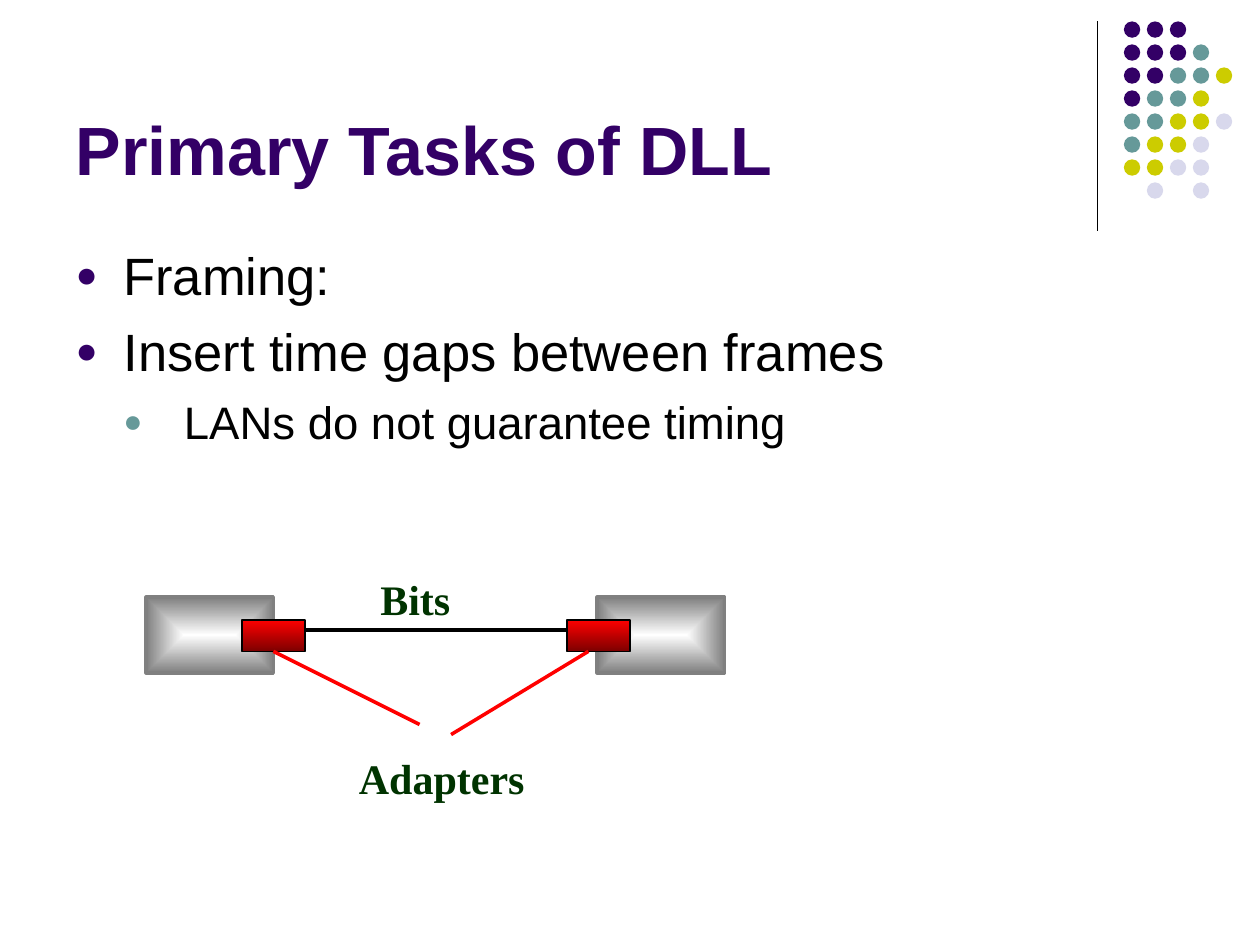
import pptx
import pptx.dml.color
import pptx.enum.shapes
import pptx.enum.text
import pptx.oxml
import pptx.oxml.ns
import pptx.util
import lxml.etree

Inches = pptx.util.Inches
Pt = pptx.util.Pt


def color(hex_string):
    return pptx.dml.color.RGBColor.from_string(hex_string)


class SlideBuilder:
    heading_font = "Arial"
    label_font = "Times New Roman"
    purple = "330066"
    teal = "669999"
    olive = "CCCC00"
    lavender = "D8D8EC"
    black = "000000"
    gray = "808080"
    red = "FF0000"
    label_green = "003300"

    def __init__(self, slide):
        self.slide = slide

    def place(self, shape, left, top, width, height):
        shape.left, shape.top = Inches(left), Inches(top)
        shape.width, shape.height = Inches(width), Inches(height)

    def run(self, paragraph, text, font, size, hex_string, bold=False):
        run = paragraph.add_run()
        run.text = text
        run.font.name, run.font.size, run.font.bold = font, Pt(size), bold
        run.font.color.rgb = color(hex_string)

    def title(self, text, *box):
        shape = self.slide.shapes.title
        self.place(shape, *box)
        frame = shape.text_frame
        frame.auto_size = pptx.enum.text.MSO_AUTO_SIZE.NONE
        frame.vertical_anchor = pptx.enum.text.MSO_ANCHOR.BOTTOM
        paragraph = frame.paragraphs[0]
        paragraph.alignment = pptx.enum.text.PP_ALIGN.LEFT
        self.run(paragraph, text, self.heading_font, 39, self.purple, True)

    def bullets(self, items, *box):
        shape = self.slide.placeholders[1]
        self.place(shape, *box)
        frame = shape.text_frame
        frame.auto_size = pptx.enum.text.MSO_AUTO_SIZE.NONE
        # Per level: text size, space before, bullet color, margin, hanging indent
        levels = [(30, 7.5, self.purple, 0.38, 0.38),
                  (26, 6.5, self.teal, 0.86, 0.48)]
        for index, (level, text) in enumerate(items):
            size, space, bullet_color, margin, hanging = levels[level]
            paragraph = frame.add_paragraph() if index else frame.paragraphs[0]
            paragraph.level = level
            self.bullet(paragraph, bullet_color, margin, hanging)
            paragraph.space_before = Pt(space if index else 0)
            self.run(paragraph, text, self.heading_font, size, self.black)

    def bullet(self, paragraph, hex_string, margin, hanging):
        properties = paragraph._p.get_or_add_pPr()
        properties.set("marL", str(Inches(margin)))
        properties.set("indent", str(-Inches(hanging)))
        qn = pptx.oxml.ns.qn
        bullet_color = lxml.etree.SubElement(properties, qn("a:buClr"))
        lxml.etree.SubElement(bullet_color, qn("a:srgbClr"), val=hex_string)
        lxml.etree.SubElement(properties, qn("a:buSzPct"), val="70000")
        lxml.etree.SubElement(properties, qn("a:buFont"), typeface=self.heading_font)
        lxml.etree.SubElement(properties, qn("a:buChar"), char="●")

    def gradient_box(self, box, stops, line_color, line_width, from_center=False):
        shape = self.slide.shapes.add_shape(
            pptx.enum.shapes.MSO_SHAPE.RECTANGLE, *map(Inches, box))
        shape.shadow.inherit = False
        shape.fill.gradient()
        shape.fill.gradient_angle = 270
        for stop, hex_string in zip(shape.fill.gradient_stops, stops):
            stop.color.rgb = color(hex_string)
        if from_center:
            linear = shape._element.spPr.find(".//" + pptx.oxml.ns.qn("a:lin"))
            radial = pptx.oxml.parse_xml(
                f'<a:path {pptx.oxml.ns.nsdecls("a")} path="rect">'
                '<a:fillToRect l="50000" t="50000" r="50000" b="50000"/></a:path>')
            linear.getparent().replace(linear, radial)
        shape.line.color.rgb = color(line_color)
        shape.line.width = Pt(line_width)
        return shape

    def line(self, start, end, hex_string, width):
        connector = self.slide.shapes.add_connector(
            pptx.enum.shapes.MSO_CONNECTOR.STRAIGHT, *map(Inches, start + end))
        connector.line.color.rgb = color(hex_string)
        connector.line.width = Pt(width)
        lxml.etree.SubElement(connector._element.spPr, pptx.oxml.ns.qn("a:effectLst"))
        return connector

    def label(self, text, *box):
        frame = self.slide.shapes.add_textbox(*map(Inches, box)).text_frame
        frame.word_wrap = True
        self.run(frame.paragraphs[0], text, self.label_font, 24, self.label_green, True)

    def dot_grid(self, rows, left, top, step, size):
        colors = {"P": self.purple, "T": self.teal, "O": self.olive, "L": self.lavender}
        group = self.slide.shapes.add_group_shape()
        for row, codes in enumerate(rows):
            for column, code in enumerate(codes):
                if code not in colors:
                    continue
                dot = group.shapes.add_shape(
                    pptx.enum.shapes.MSO_SHAPE.OVAL,
                    Inches(left + column * step), Inches(top + row * step),
                    Inches(size), Inches(size))
                dot.shadow.inherit = False
                dot.fill.solid()
                dot.fill.fore_color.rgb = color(colors[code])
                dot.line.fill.background()


def main():
    presentation = pptx.Presentation()
    presentation.slide_width, presentation.slide_height = Inches(10), Inches(7.5)
    builder = SlideBuilder(presentation.slides.add_slide(presentation.slide_layouts[1]))

    # Corner decoration
    builder.line((8.71, 0.17), (8.71, 1.83), builder.black, 0.75)
    builder.dot_grid(["PPP", "PPPT", "PPTTO", "PTTO", "TTOOL", "TOOL", "OOLL", ".L.L"],
                     left=8.92, top=0.17, step=0.73 / 4, size=0.13)

    # Title and list
    builder.title("Primary Tasks of DLL", 0.5, 0.13, 8.25, 1.42)
    builder.bullets([(0, "Framing:"),
                     (0, "Insert time gaps between frames"),
                     (1, "LANs do not guarantee timing")], 0.5, 1.88, 9, 4.82)

    # Two hosts, each with an adapter
    for left in (1.16, 4.74):
        builder.gradient_box((left, 4.74, 1.01, 0.6), ("FFFFFF", builder.gray),
                             builder.gray, 2, from_center=True)
    adapters = [builder.gradient_box((left, 4.92, 0.5, 0.25), (builder.red, "7E0000"),
                                     builder.black, 1) for left in (1.92, 4.5)]

    # Link between the adapters and pointers to their label
    builder.line((2.42, 5), (4.5, 5), builder.black, 2)
    left_pointer = builder.line((2.17, 5.17), (3.33, 5.75), builder.red, 2)
    left_pointer.begin_connect(adapters[0], 2)
    builder.line((4.67, 5.17), (3.58, 5.83), builder.red, 2)

    # Labels
    builder.label("Bits", 2.92, 4.5, 2.92, 0.5)
    builder.label("Adapters", 2.75, 5.92, 2.08, 0.5)

    presentation.save("out.pptx")


if __name__ == "__main__":
    main()
